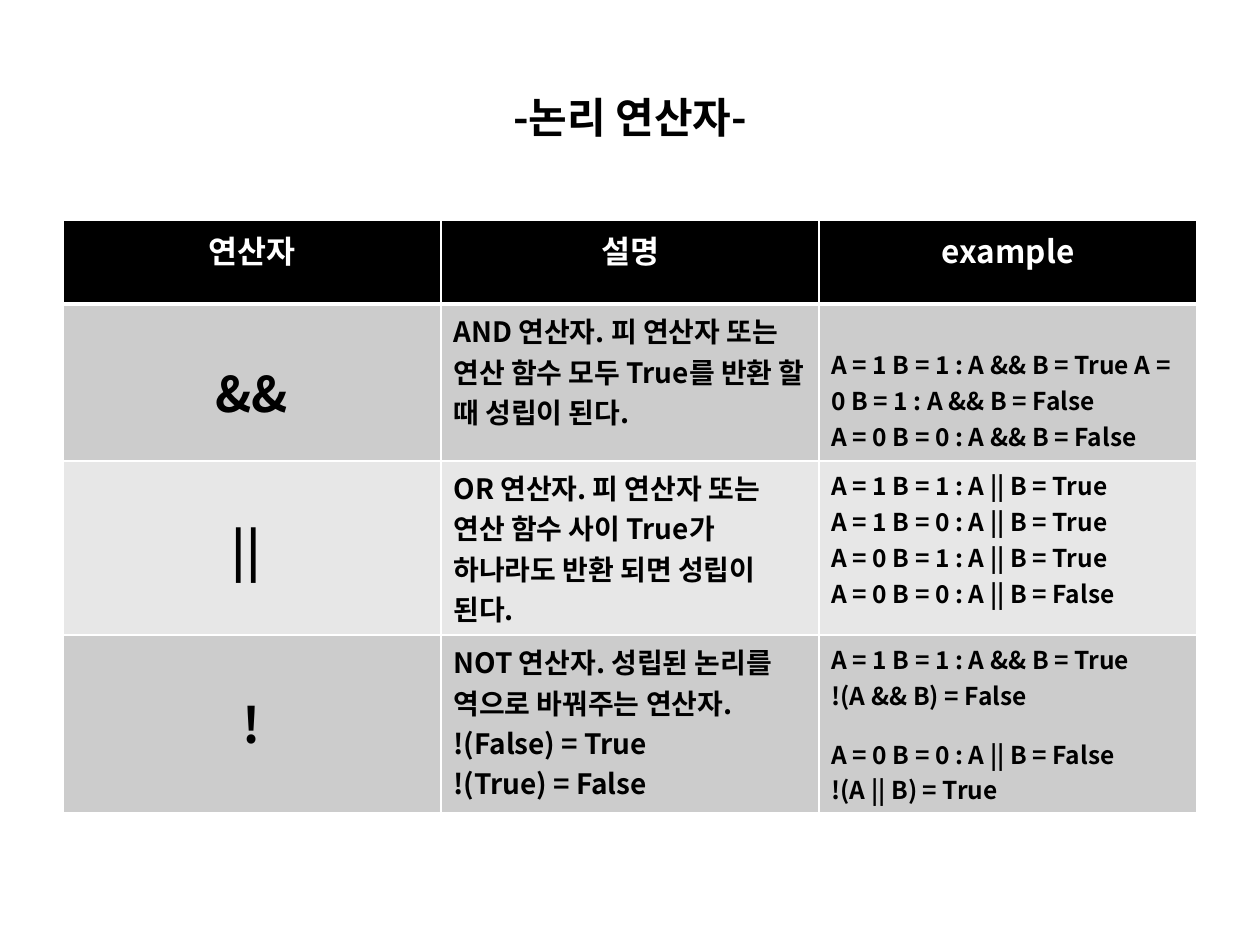
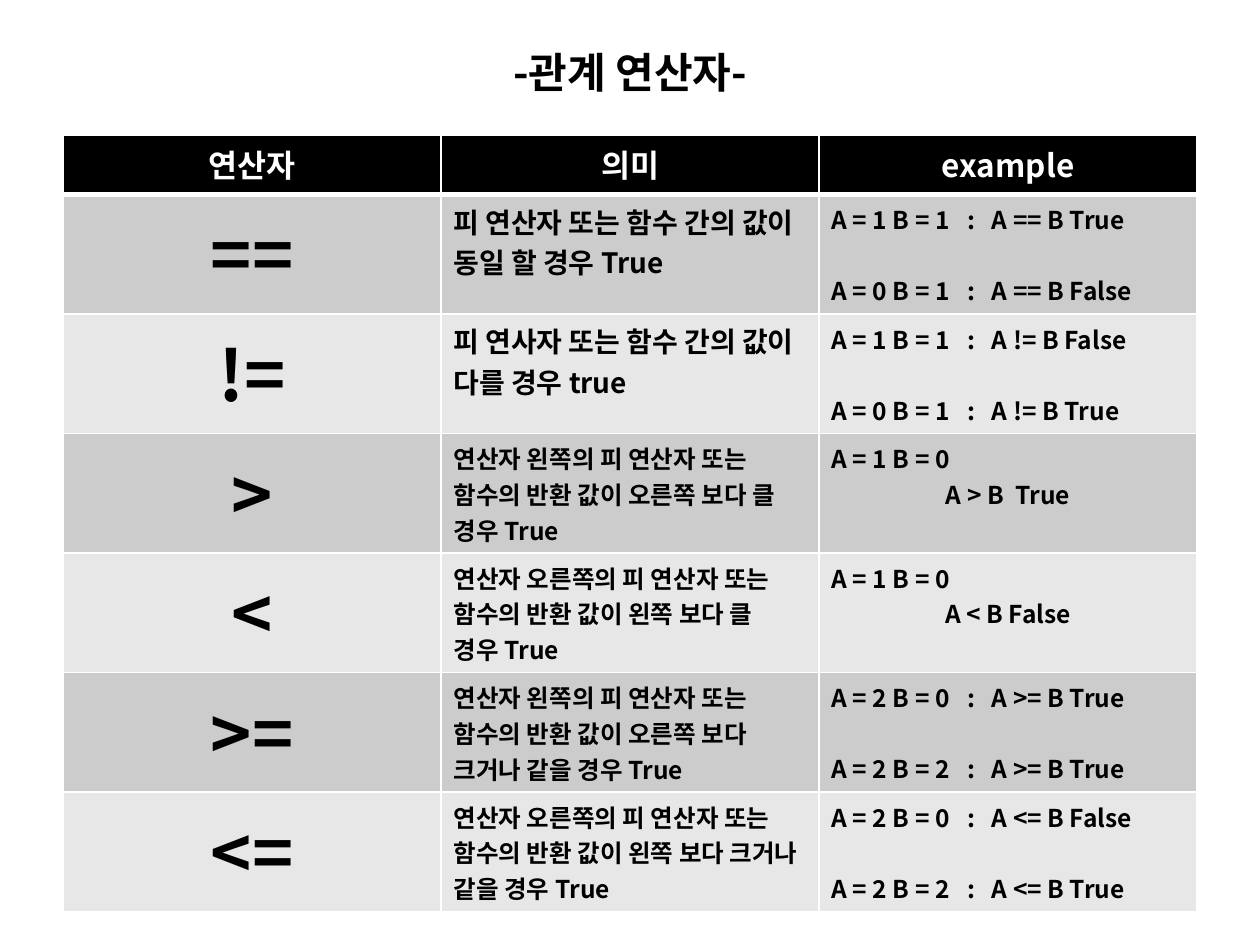
from lxml import etree
from pptx import Presentation
from pptx.dml.color import RGBColor
from pptx.enum.text import MSO_ANCHOR, PP_ALIGN
from pptx.oxml.ns import qn
from pptx.util import Cm, Pt

CENTER = PP_ALIGN.CENTER
LEFT = PP_ALIGN.LEFT
MIDDLE = MSO_ANCHOR.MIDDLE
FONT = "Noto Sans CJK KR"
BLACK = "000000"
WHITE = "FFFFFF"
BANDS = ["CCCCCC", "E7E7E7"]
MARGIN = Cm(1.27)
CONTENT_WIDTH = Cm(22.86)
CELL_MARGIN = Cm(0.13)
TAB_STOPS = [Cm(2.74), Cm(3.23)]
LINE_GAP = 20.3
SYMBOL_GAP = 26
SHORT_GAP = 13
HEADER_SIZE = 18
EXAMPLE_SIZE = 14
CENTERED_LINES = ["A > B  True", "A < B False"]

SLIDES = [
    {
        "title": "-논리 연산자-",
        "title_height": Cm(3.18),
        "table_top": Cm(4.45),
        "header_height": Cm(1.68),
        "row_heights": [Cm(3.16), Cm(3.51), Cm(3.59)],
        "symbol_size": 28,
        "header": ["연산자", "설명", "example"],
        "rows": [
            ([SYMBOL_GAP, "&&"], 16,
             ["AND 연산자. 피 연산자 또는 연산 함수 모두 True를 반환 할 때 성립이 된다."],
             [LINE_GAP, "A = 1 B = 1 : A && B = True A = 0 B = 1 : A && B = False",
              "A = 0 B = 0 : A && B = False"]),
            ([SYMBOL_GAP, "|| "], 16,
             ["OR 연산자. 피 연산자 또는 연산 함수 사이 True가 하나라도 반환 되면 성립이 된다."],
             ["A = 1 B = 1 : A || B = True", "A = 1 B = 0 : A || B = True",
              "A = 0 B = 1 : A || B = True", "A = 0 B = 0 : A || B = False"]),
            ([SYMBOL_GAP, "!"], 16,
             ["NOT 연산자. 성립된 논리를 역으로 바꿔주는 연산자.",
              "!(False) = True", "!(True) = False"],
             ["A = 1 B = 1 : A && B = True", "!(A && B) = False", SHORT_GAP,
              "A = 0 B = 0 : A || B = False", "!(A || B) = True"]),
        ],
    },
    {
        "title": "-관계 연산자-",
        "title_height": Cm(1.37),
        "table_top": Cm(2.72),
        "header_height": Cm(1.2),
        "row_heights": [Cm(2.41)] * 6,
        "symbol_size": 40,
        "header": ["연산자", "의미", "example"],
        "rows": [
            (["=="], 16, ["피 연산자 또는 함수 간의 값이 동일 할 경우 True"],
             ["A = 1 B = 1\t:\tA == B True", LINE_GAP, "A = 0 B = 1\t:\tA == B False"]),
            (["!="], 16, ["피 연사자 또는 함수 간의 값이 다를 경우 true"],
             ["A = 1 B = 1\t:\tA != B False", LINE_GAP, "A = 0 B = 1\t:\tA != B True"]),
            ([">"], 14, ["연산자 왼쪽의 피 연산자 또는 함수의 반환 값이 오른쪽 보다 클 경우 True"],
             ["A = 1 B = 0", "A > B  True"]),
            (["<"], 14, ["연산자 오른쪽의 피 연산자 또는 함수의 반환 값이 왼쪽 보다 클\v경우 True"],
             ["A = 1 B = 0", "A < B False"]),
            ([">="], 14, ["연산자 왼쪽의 피 연산자 또는 함수의 반환 값이 오른쪽 보다 크거나 같을 경우 True"],
             ["A = 2 B = 0\t:\tA >= B True", LINE_GAP, "A = 2 B = 2\t:\tA >= B True"]),
            (["<="], 14, ["연산자 오른쪽의 피 연산자 또는 함수의 반환 값이 왼쪽 보다 크거나 같을 경우 True"],
             ["A = 2 B = 0\t:\tA <= B False", LINE_GAP, "A = 2 B = 2\t:\tA <= B True"]),
        ],
    },
]


def write_paragraph(paragraph, text, size, color, alignment):
    paragraph.text = text
    paragraph.alignment = alignment
    if "\t" in text:
        tabs = etree.SubElement(paragraph._p.get_or_add_pPr(), qn("a:tabLst"))
        for position in TAB_STOPS:
            etree.SubElement(tabs, qn("a:tab"), pos=str(int(position)), algn="l")
    font = paragraph.font
    font.size = Pt(size)
    font.bold = True
    font.color.rgb = RGBColor.from_string(color)
    font.name = FONT


def fill_cell(cell, lines, size, color, fill, alignment, top_line=1, bottom_line=1):
    properties = cell._tc.get_or_add_tcPr()
    for side, width in (("L", 1), ("R", 1), ("T", top_line), ("B", bottom_line)):
        border = etree.SubElement(properties, qn("a:ln" + side), w=str(int(Pt(width))))
        border_fill = etree.SubElement(border, qn("a:solidFill"))
        etree.SubElement(border_fill, qn("a:srgbClr"), val=WHITE)
    cell.fill.solid()
    cell.fill.fore_color.rgb = RGBColor.from_string(fill)
    cell.margin_top = cell.margin_bottom = CELL_MARGIN
    paragraph = None
    gap = 0
    for line in lines:
        if not isinstance(line, str):
            gap = line
            continue
        if paragraph is None:
            paragraph = cell.text_frame.paragraphs[0]
            cell.margin_top = CELL_MARGIN + Pt(gap)
        else:
            paragraph = cell.text_frame.add_paragraph()
            paragraph.space_before = Pt(gap)
        gap = 0
        line_alignment = CENTER if line in CENTERED_LINES else alignment
        write_paragraph(paragraph, line, size, color, line_alignment)


presentation = Presentation()
presentation.slide_width = Cm(25.4)
presentation.slide_height = Cm(19.05)

for content in SLIDES:
    slide = presentation.slides.add_slide(presentation.slide_layouts[6])

    title = slide.shapes.add_textbox(MARGIN, Cm(0.76), CONTENT_WIDTH, content["title_height"])
    title.text_frame.word_wrap = True
    title.text_frame.vertical_anchor = MIDDLE
    write_paragraph(title.text_frame.paragraphs[0], content["title"], 24, BLACK, CENTER)

    rows = content["rows"]
    table_height = content["header_height"] + sum(content["row_heights"])
    table = slide.shapes.add_table(
        len(rows) + 1, 3, MARGIN, content["table_top"], CONTENT_WIDTH, table_height
    ).table
    table.horz_banding = False
    table.rows[0].height = content["header_height"]
    for column, label in enumerate(content["header"]):
        fill_cell(table.cell(0, column), [label], HEADER_SIZE, WHITE, BLACK, CENTER, bottom_line=3)

    for index, (symbol, description_size, description, examples) in enumerate(rows):
        row = index + 1
        band = BANDS[index % 2]
        top_line = 3 if index == 0 else 1
        table.rows[row].height = content["row_heights"][index]
        fill_cell(table.cell(row, 0), symbol, content["symbol_size"], BLACK, band, CENTER, top_line)
        fill_cell(table.cell(row, 1), description, description_size, BLACK, band, LEFT, top_line)
        fill_cell(table.cell(row, 2), examples, EXAMPLE_SIZE, BLACK, band, LEFT, top_line)

presentation.save("out.pptx")
